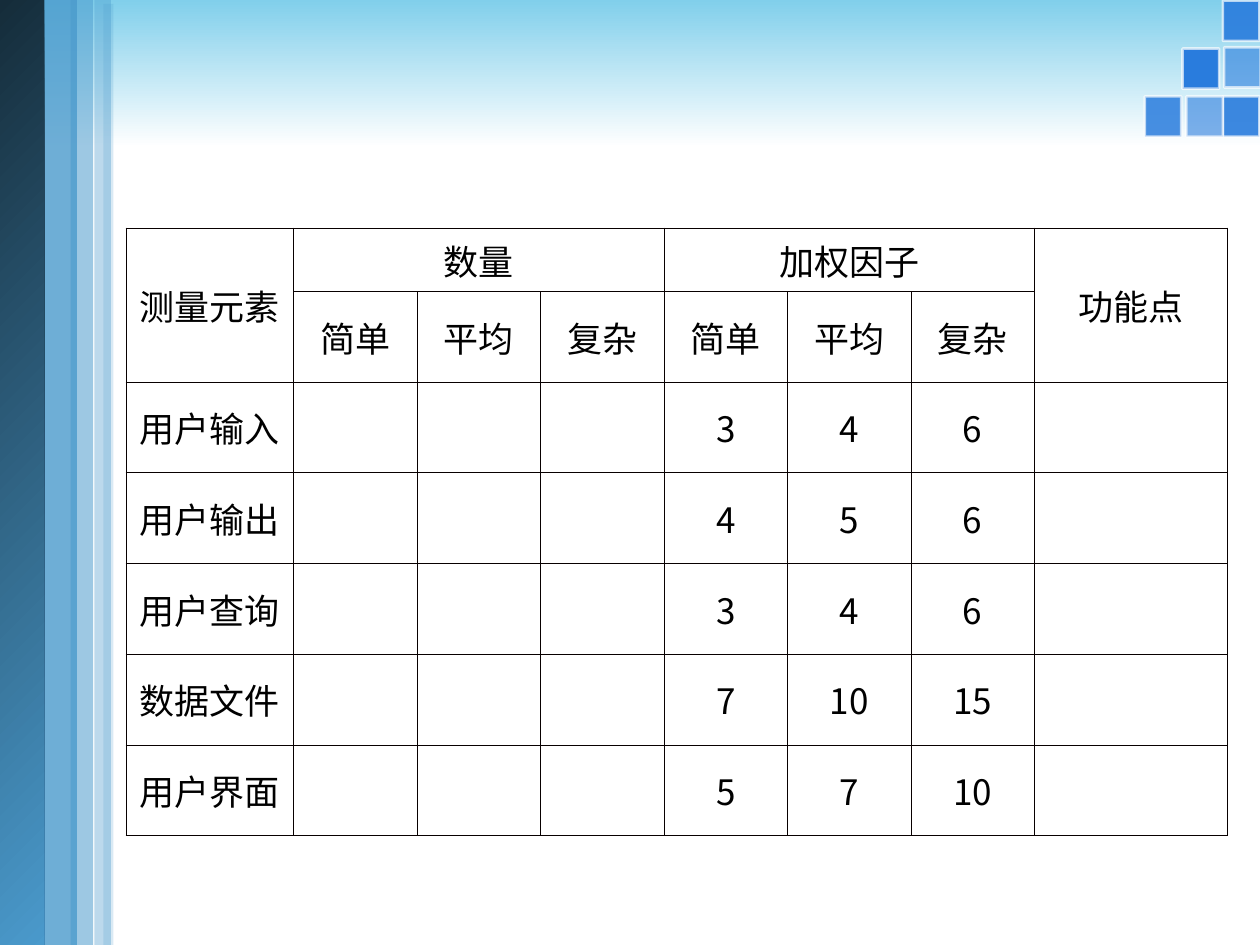
import pptx
import pptx.util
import pptx.dml.color
import pptx.enum.shapes
import pptx.enum.text
import pptx.oxml.ns
from lxml import etree

Inches = pptx.util.Inches
Pt = pptx.util.Pt
FONT = "Noto Sans CJK SC"
COLORS = {
    "sky": "81CFEB",
    "white": "FFFFFF",
    "tile": "297CDD",
    "blue": "4A9ACC",
    "navy": "152C3A",
    "rule": "080000",
    "text": "000000",
}
TILES = [
    (9.69, 0.78, 90),
    (9.4, 0.78, 60),
    (9.07, 0.78, 85),
    (9.37, 0.4, 100),
    (9.7, 0.39, 60),
    (9.69, 0.02, 90),
]
LEVELS = ["简单", "平均", "复杂"]
WEIGHTS = {
    "用户输入": [3, 4, 6],
    "用户输出": [4, 5, 6],
    "用户查询": [3, 4, 6],
    "数据文件": [7, 10, 15],
    "用户界面": [5, 7, 10],
}
MERGES = [(0, 0, 1, 0), (0, 1, 0, 3), (0, 4, 0, 6), (0, 7, 1, 7)]


def color(name):
    return pptx.dml.color.RGBColor.from_string(COLORS[name])


def child(parent, tag, **attrs):
    return etree.SubElement(parent, pptx.oxml.ns.qn(tag), attrs)


def paint(fill, name, alpha=100):
    fill.solid()
    fill.fore_color.rgb = color(name)
    if alpha < 100:
        solid = fill._xPr.find(pptx.oxml.ns.qn("a:solidFill"))
        child(solid[0], "a:alpha", val=str(alpha * 1000))


def add_rect(slide, left, top, width, height):
    rect = slide.shapes.add_shape(
        pptx.enum.shapes.MSO_SHAPE.RECTANGLE,
        Inches(left), Inches(top), Inches(width), Inches(height))
    rect.shadow.inherit = False
    rect.line.fill.background()
    return rect


def add_fade(slide, box, names, angle):
    fill = add_rect(slide, *box).fill
    fill.gradient()
    fill.gradient_angle = angle
    for stop, name, place in zip(fill.gradient_stops, names, (0, 1)):
        stop.color.rgb = color(name)
        stop.position = place


def add_band(slide, box, alpha):
    paint(add_rect(slide, *box).fill, "blue", alpha)


def add_tile(slide, left, top, alpha):
    tile = add_rect(slide, left, top, 0.32, 0.29)
    tile.rotation = 90
    paint(tile.fill, "tile", alpha)
    tile.line.width = Pt(1.5)
    paint(tile.line.fill, "white", 66)


def style_cell(cell):
    props = cell._tc.get_or_add_tcPr()
    for side in "LRTB":
        line = child(props, f"a:ln{side}", w=str(Pt(0.45)))
        child(child(line, "a:solidFill"), "a:srgbClr", val=COLORS["rule"])
    cell.fill.background()
    cell.vertical_anchor = pptx.enum.text.MSO_ANCHOR.MIDDLE
    cell.margin_left = cell.margin_right = Inches(0.08)
    for para in cell.text_frame.paragraphs:
        para.alignment = pptx.enum.text.PP_ALIGN.CENTER
        for run in para.runs:
            run.font.size = Pt(20)
            run.font.name = FONT
            run.font.color.rgb = color("text")
            child(run.font._element, "a:ea", typeface=FONT)


def add_grid(slide):
    gap = [""] * 3
    rows = [
        ["测量元素", "数量", "", "", "加权因子", "", "", "功能点"],
        ["", *LEVELS, *LEVELS, ""],
    ]
    rows += [[name, *gap, *nums, ""] for name, nums in WEIGHTS.items()]
    grid = slide.shapes.add_table(
        len(rows), len(rows[0]),
        Inches(1), Inches(1.81), Inches(8.75), Inches(4.65)).table
    grid.first_row = grid.horz_banding = False
    for col, width in zip(grid.columns, [1.33] + [0.98] * 6 + [1.53]):
        col.width = Inches(width)
    for row, height in zip(grid.rows, [0.36] + [0.72] * 6):
        row.height = Inches(height)
    for top, left, end, right in MERGES:
        grid.cell(top, left).merge(grid.cell(end, right))
    for r, row in enumerate(rows):
        for c, value in enumerate(row):
            cell = grid.cell(r, c)
            if value != "":
                cell.text_frame.text = str(value)
            style_cell(cell)


def main():
    deck = pptx.Presentation()
    deck.slide_width, deck.slide_height = Inches(10), Inches(7.5)
    slide = deck.slides.add_slide(deck.slide_layouts[6])
    paint(slide.background.fill, "white")
    add_fade(slide, (0, 0, 10, 1.17), ("sky", "white"), 270)
    for tile in TILES:
        add_tile(slide, *tile)
    add_band(slide, (0.3, 0, 0.31, 7.53), 80)
    add_fade(slide, (0, 0, 0.35, 7.53), ("navy", "blue"), 315)
    add_band(slide, (0.82, 0.03, 0.08, 7.52), 20)
    add_band(slide, (0.56, 0, 0.18, 7.51), 54)
    add_band(slide, (0.75, 0, 0.13, 7.52), 37)
    add_grid(slide)
    deck.save("out.pptx")


if __name__ == "__main__":
    main()
